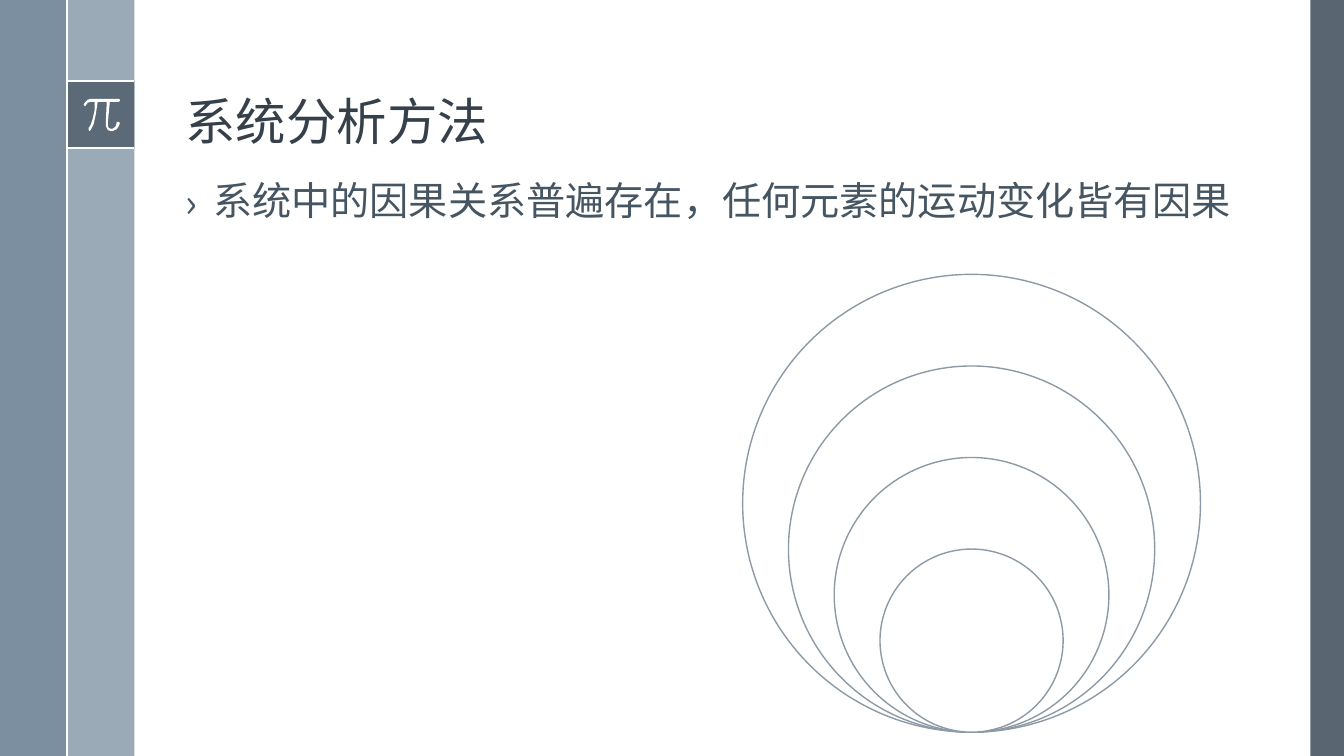
from lxml.etree import SubElement
from pptx import Presentation
from pptx.dml.color import RGBColor
from pptx.enum.shapes import MSO_CONNECTOR, MSO_SHAPE
from pptx.enum.text import MSO_ANCHOR
from pptx.oxml.ns import qn
from pptx.util import Pt

WHITE = RGBColor(0xFF, 0xFF, 0xFF)
SLATE = RGBColor(0x47, 0x55, 0x62)
STEEL = RGBColor(0x6A, 0x80, 0x93)
MIST = RGBColor(0x9B, 0xAA, 0xB7)
RING = RGBColor(0x8D, 0x9A, 0xA6)
TITLE_INK = RGBColor(0x35, 0x40, 0x4A)
BODY_INK = RGBColor(0x46, 0x55, 0x62)

# Outline of the pi sign, in hundredths of an inch
PI_UNIT = Pt(0.72)
PI_OUTLINE = [
    (118, 98), (90, 98), (87, 99), (84, 102), (83, 104), (84, 105), (85, 105),
    (87, 102), (90, 101), (94, 101), (93.5, 109), (92, 118), (90, 124),
    (88, 127), (88, 129), (89, 129.5), (90, 129), (93, 123), (95, 114),
    (97, 101), (106, 101), (105, 122), (105, 125), (107, 129), (110, 130),
    (112, 130), (116, 128), (118, 125), (119, 122), (118, 121), (116.5, 121),
    (115, 125), (113, 127), (111, 128), (108, 127), (107, 125), (107, 122),
    (109, 101), (118, 101), (119, 100), (119, 99),
]


class SlideBuilder:
    font_name = "Noto Sans CJK SC"
    line_spacing = 0.9

    def __init__(self, slide):
        self.slide = slide

    def paint(self, shape, fill, opacity=100, line=None):
        shape.shadow.inherit = False
        shape.fill.solid()
        shape.fill.fore_color.rgb = fill
        if opacity < 100:
            color = shape.fill._xPr.find(qn("a:solidFill"))[0]
            SubElement(color, qn("a:alpha"), val=str(opacity * 1000))
        if line is None:
            shape.line.fill.background()
        else:
            shape.line.color.rgb = line
            shape.line.width = Pt(1)

    def shape(self, kind, left, top, width, height, fill, **style):
        shape = self.slide.shapes.add_shape(
            kind, Pt(left), Pt(top), Pt(width), Pt(height))
        self.paint(shape, fill, **style)

    def outline(self, points, unit, fill):
        builder = self.slide.shapes.build_freeform(*points[0], scale=unit)
        builder.add_line_segments(points[1:], close=True)
        self.paint(builder.convert_to_shape(), fill)

    def rule(self, x1, y1, x2, y2):
        connector = self.slide.shapes.add_connector(
            MSO_CONNECTOR.STRAIGHT, Pt(x1), Pt(y1), Pt(x2), Pt(y2))
        connector.line.color.rgb = WHITE
        connector.line.width = Pt(1.5)
        SubElement(connector._element.spPr, qn("a:effectLst"))

    def text(self, text, left, top, width, height, size, color,
             anchor=MSO_ANCHOR.TOP, bullet=None, indent=0):
        box = self.slide.shapes.add_textbox(
            Pt(left), Pt(top), Pt(width), Pt(height))
        text_frame = box.text_frame
        text_frame.word_wrap = True
        text_frame.vertical_anchor = anchor
        text_frame.text = text
        paragraph = text_frame.paragraphs[0]
        paragraph.line_spacing = self.line_spacing
        if bullet:
            properties = paragraph._p.get_or_add_pPr()
            properties.set("marL", str(Pt(indent)))
            properties.set("indent", str(-Pt(indent)))
            SubElement(properties, qn("a:buFont"), typeface=self.font_name)
            SubElement(properties, qn("a:buChar"), char=bullet)
        font = paragraph.runs[0].font
        font.size = Pt(size)
        font.color.rgb = color
        font.name = self.font_name
        SubElement(font._rPr, qn("a:ea"), typeface=self.font_name)


def main():
    presentation = Presentation()
    presentation.slide_width = Pt(960)
    presentation.slide_height = Pt(540)
    slide = presentation.slides.add_slide(presentation.slide_layouts[6])
    builder = SlideBuilder(slide)

    # Side bands and the tile with the pi sign
    band, tile_top = 48, 58
    tile_bottom = tile_top + band
    builder.shape(MSO_SHAPE.RECTANGLE, 936, 0, 24, 540, SLATE, opacity=90)
    builder.shape(MSO_SHAPE.RECTANGLE, band, 0, band, 540, MIST)
    builder.shape(MSO_SHAPE.RECTANGLE, 0, 0, band, 540, STEEL, opacity=88)
    builder.shape(MSO_SHAPE.RECTANGLE, band, tile_top, band, band, SLATE,
                  opacity=75)
    for y in (tile_top, tile_bottom):
        builder.rule(band, y, 2 * band, y)
    builder.outline(PI_OUTLINE, PI_UNIT, WHITE)
    builder.rule(band, 0, band, 540)

    # Title and bullet
    builder.text("系统分析方法", 125.5, 14, 770, 98, 36, TITLE_INK,
                 anchor=MSO_ANCHOR.BOTTOM)
    builder.text("系统中的因果关系普遍存在，任何元素的运动变化皆有因果",
                 125.5, 126, 770, 360, 28, BODY_INK, bullet="›", indent=19.8)

    # Nested circles that touch at the bottom
    center, bottom, largest = 694, 523, 327
    for step in range(4):
        diameter = largest * (5 - step) / 5
        builder.shape(MSO_SHAPE.OVAL, center - diameter / 2, bottom - diameter,
                      diameter, diameter, WHITE, line=RING)

    presentation.save("out.pptx")


if __name__ == "__main__":
    main()
